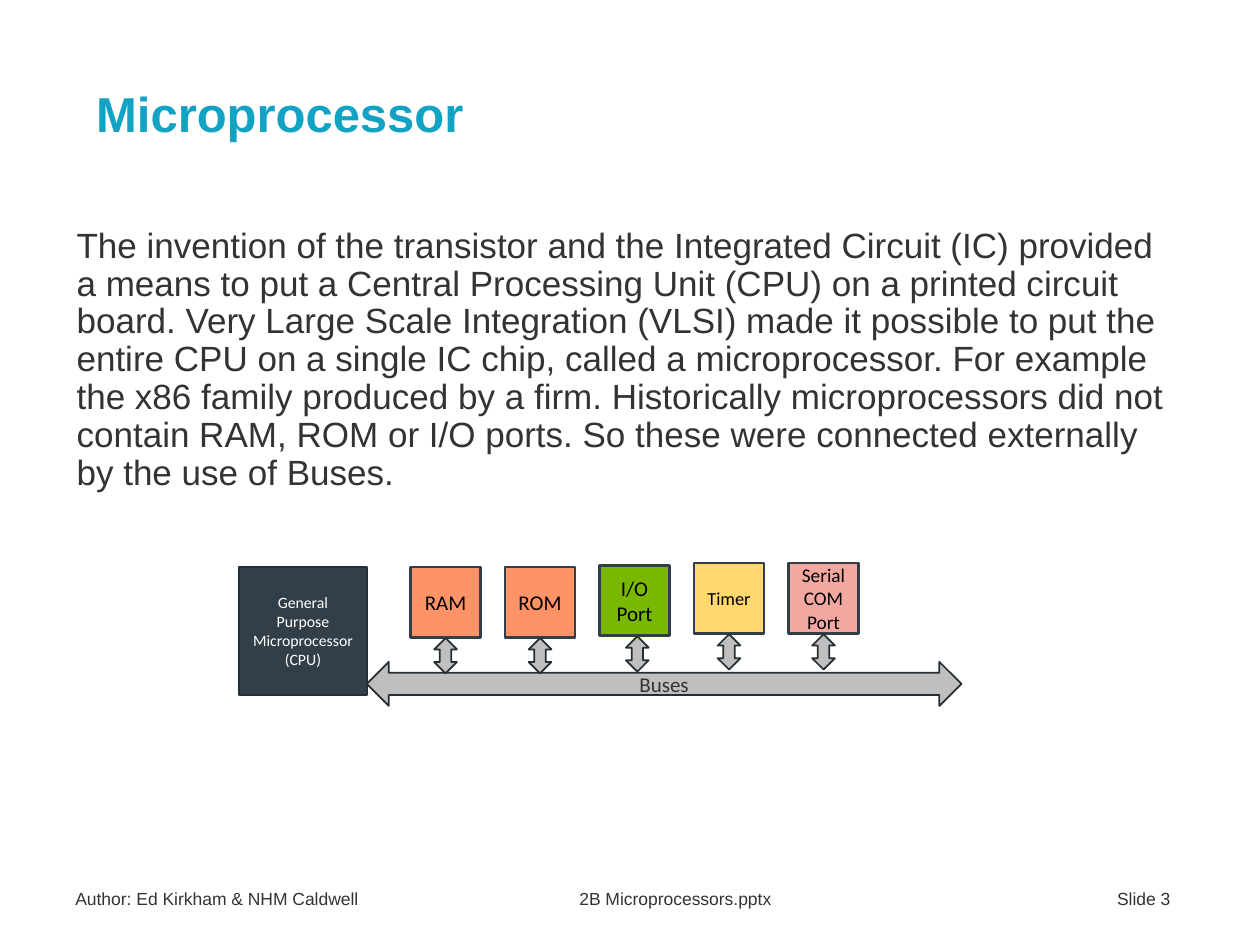
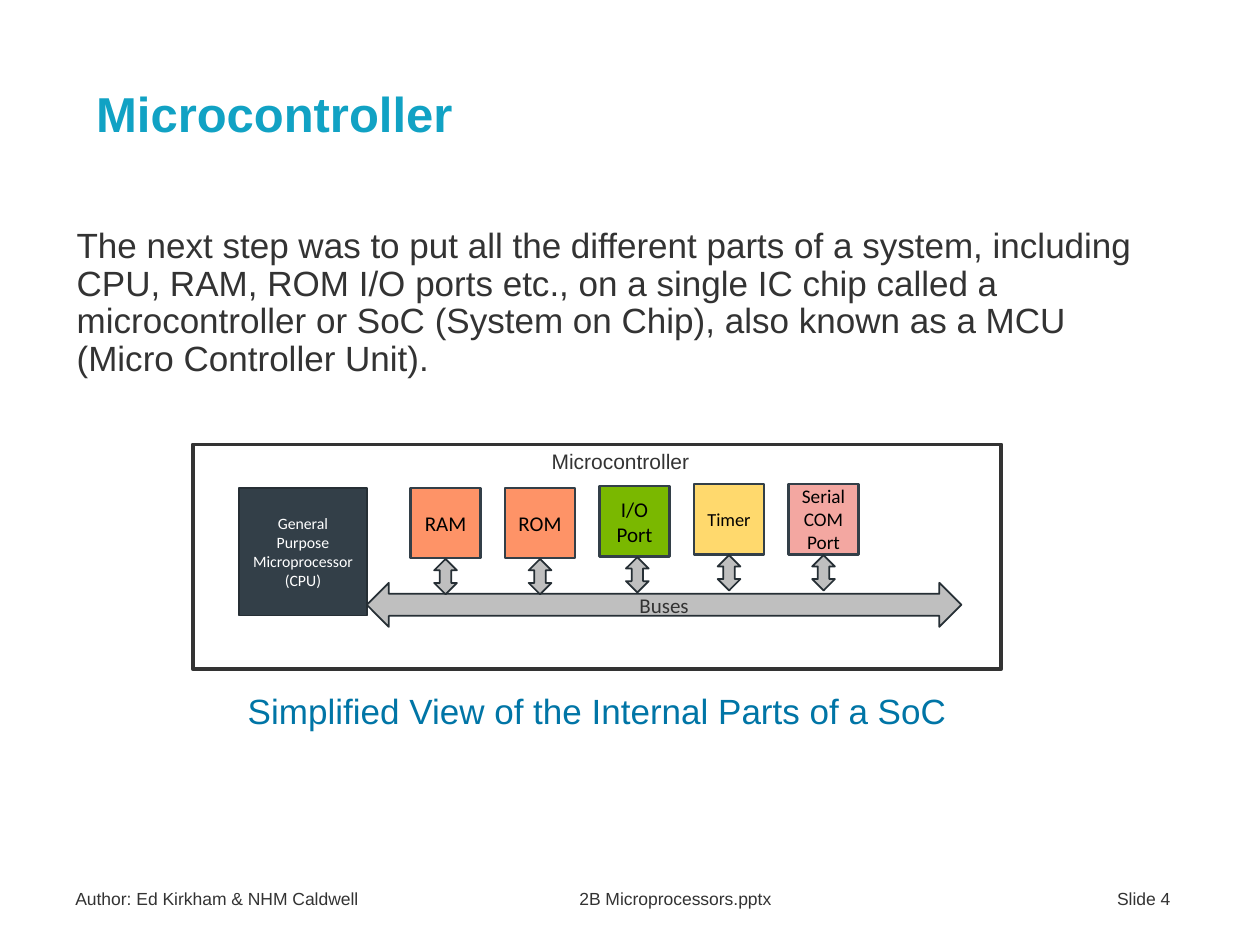
from lxml.etree import SubElement
from pptx import Presentation
from pptx.dml.color import RGBColor
from pptx.enum.shapes import MSO_SHAPE as SHAPE
from pptx.enum.text import MSO_ANCHOR as ANCHOR, MSO_AUTO_SIZE as FIT, PP_ALIGN as ALIGN
from pptx.oxml.ns import qn
from pptx.util import Pt

SLIDES = [
    {
        "title": "Microprocessor",
        "body": "The invention of the transistor and the Integrated Circuit (IC) provided a means to put "
                "a Central Processing Unit (CPU) on a printed circuit board. Very Large Scale Integration "
                "(VLSI) made it possible to put the entire CPU on a single IC chip, called a "
                "microprocessor. For example the x86 family produced by a firm. Historically "
                "microprocessors did not contain RAM, ROM or I/O ports. So these were connected "
                "externally by the use of Buses.",
        "body_height": 158.4,
        "cpu_top": 324,
    },
    {
        "title": "Microcontroller",
        "body": "The next step was to put all the different parts of a system, including CPU, RAM, ROM "
                "I/O ports etc., on a single IC chip called a microcontroller or SoC (System on Chip), "
                "also known as a MCU (Micro Controller Unit).",
        "body_height": 88.6,
        "cpu_top": 278.8,
        "frame_label": "Microcontroller",
        "caption": "Simplified View of the Internal Parts of a SoC",
    },
]
FIRST_NUMBER = 3
FOOTER = "Author: Ed Kirkham & NHM Caldwell\t2B Microprocessors.pptx\tSlide {}"
FOOTER_TABS = (288, 595.3)

TEXT, DARK, EDGE, GREY = "333333", "333F48", "262F35", "BFBFBF"
TITLE, CAPTION, BLACK, WHITE = "11A2C4", "0075A6", "000000", "FFFFFF"

CPU = "General Purpose Microprocessor\n(CPU)"
BLOCKS = [
    ("RAM", "FE9367", 12, 0, 0),
    ("ROM", "FE9367", 12, 0, 0),
    ("I/O Port", "7AB800", 12, -1, 1.6),
    ("Timer", "FFD96D", 10.5, -2.2, 0),
    ("Serial COM Port", "F3A7A1", 11, -2.2, 0),
]
CPU_LEFT, CPU_SIZE = 136.6, 73
BLOCK_LEFT, BLOCK_PITCH, BLOCK_SIZE = 234.5, 54, 40.2
LINK_LENGTH, LINK_WIDTH = 20.2, 13
BUS_DROP, BUS_LENGTH, BUS_HEIGHT = 54.2, 339.8, 25.2


def rgb(value):
    return RGBColor.from_string(value)


def write(tf, text, size, color, font="Arial", align=ALIGN.LEFT, spacing=None, bold=False):
    tf.word_wrap = True
    for i, line in enumerate(text.split("\n")):
        p = tf.add_paragraph() if i else tf.paragraphs[0]
        p.alignment = align
        p.line_spacing = spacing
        r = p.add_run()
        r.text = line
        r.font.size, r.font.name, r.font.bold = Pt(size), font, bold
        r.font.color.rgb = rgb(color)


def add_text(shapes, box, text, size, color, **style):
    sp = shapes.add_textbox(*map(Pt, box))
    write(sp.text_frame, text, size, color, **style)
    return sp


def add_shape(shapes, kind, box, fill, line, width):
    sp = shapes.add_shape(kind, *map(Pt, box))
    sp.shadow.inherit = False
    if fill:
        sp.fill.solid()
        sp.fill.fore_color.rgb = rgb(fill)
    else:
        sp.fill.background()
    sp.line.color.rgb = rgb(line)
    sp.line.width = Pt(width)
    return sp


def label(sp, text, size, color):
    sp.text_frame.vertical_anchor = ANCHOR.MIDDLE
    write(sp.text_frame, text, size, color, font="Calibri", align=ALIGN.CENTER)


def add_system(shapes, top):
    sp = add_shape(shapes, SHAPE.RECTANGLE, (CPU_LEFT, top, CPU_SIZE, CPU_SIZE), DARK, EDGE, 1)
    label(sp, CPU, 9, WHITE)

    bus_box = (CPU_LEFT + CPU_SIZE, top + BUS_DROP, BUS_LENGTH, BUS_HEIGHT)
    bus = add_shape(shapes, SHAPE.LEFT_RIGHT_ARROW, bus_box, GREY, EDGE, 1)
    label(bus, "Buses", 12, TEXT)

    for i, (name, fill, size, dy, link_dx) in enumerate(BLOCKS):
        x, y = BLOCK_LEFT + i * BLOCK_PITCH, top + dy
        sp = add_shape(shapes, SHAPE.RECTANGLE, (x, y, BLOCK_SIZE, BLOCK_SIZE), fill, DARK, 1.5)
        sp.text_frame.margin_left = sp.text_frame.margin_right = Pt(5)
        label(sp, name, size, BLACK)

        mid_x = x + BLOCK_SIZE / 2 + link_dx
        mid_y = y + BLOCK_SIZE + LINK_LENGTH / 2 + 0.4
        link_box = (mid_x - LINK_LENGTH / 2, mid_y - LINK_WIDTH / 2, LINK_LENGTH, LINK_WIDTH)
        link = add_shape(shapes, SHAPE.LEFT_RIGHT_ARROW, link_box, GREY, EDGE, 1)
        link.rotation = 90


def add_title(s, text):
    sp = s.shapes.title
    sp.left, sp.top, sp.width, sp.height = map(Pt, (47.8, 21.6, 636.5, 90))
    sp.text_frame.auto_size = FIT.NONE
    sp.text_frame.vertical_anchor = ANCHOR.MIDDLE
    write(sp.text_frame, text, 28, TITLE, spacing=0.9, bold=True)


def add_footer(s, number):
    sp = add_text(s.shapes, (36, 504, 648, 19.4), FOOTER.format(number), 10, TEXT)
    tabs = SubElement(sp.text_frame.paragraphs[0]._p.get_or_add_pPr(), qn("a:tabLst"))
    for pos in FOOTER_TABS:
        SubElement(tabs, qn("a:tab"), pos=str(int(Pt(pos))), algn="l")


def add_frame(s, name, caption):
    add_shape(s.shapes, SHAPE.RECTANGLE, (110.2, 254, 462, 128.2), None, TEXT, 2.25)
    add_text(s.shapes, (264.2, 252.7, 180.7, 21.6), name, 12, TEXT, align=ALIGN.CENTER)
    add_text(s.shapes, (110.2, 393.1, 462.2, 69.8), caption, 20, CAPTION,
             align=ALIGN.CENTER, spacing=0.9)


def main():
    prs = Presentation()
    prs.slide_width, prs.slide_height = Pt(720), Pt(540)
    for number, content in enumerate(SLIDES, FIRST_NUMBER):
        s = prs.slides.add_slide(prs.slide_layouts[5])
        add_title(s, content["title"])
        add_text(s.shapes, (36.7, 126.8, 636.5, content["body_height"]), content["body"],
                 20, TEXT, spacing=0.9)
        if "caption" in content:
            add_frame(s, content["frame_label"], content["caption"])
            add_system(s.shapes.add_group_shape().shapes, content["cpu_top"])
        else:
            add_system(s.shapes, content["cpu_top"])
        add_footer(s, number)
    prs.save("out.pptx")


if __name__ == "__main__":
    main()
